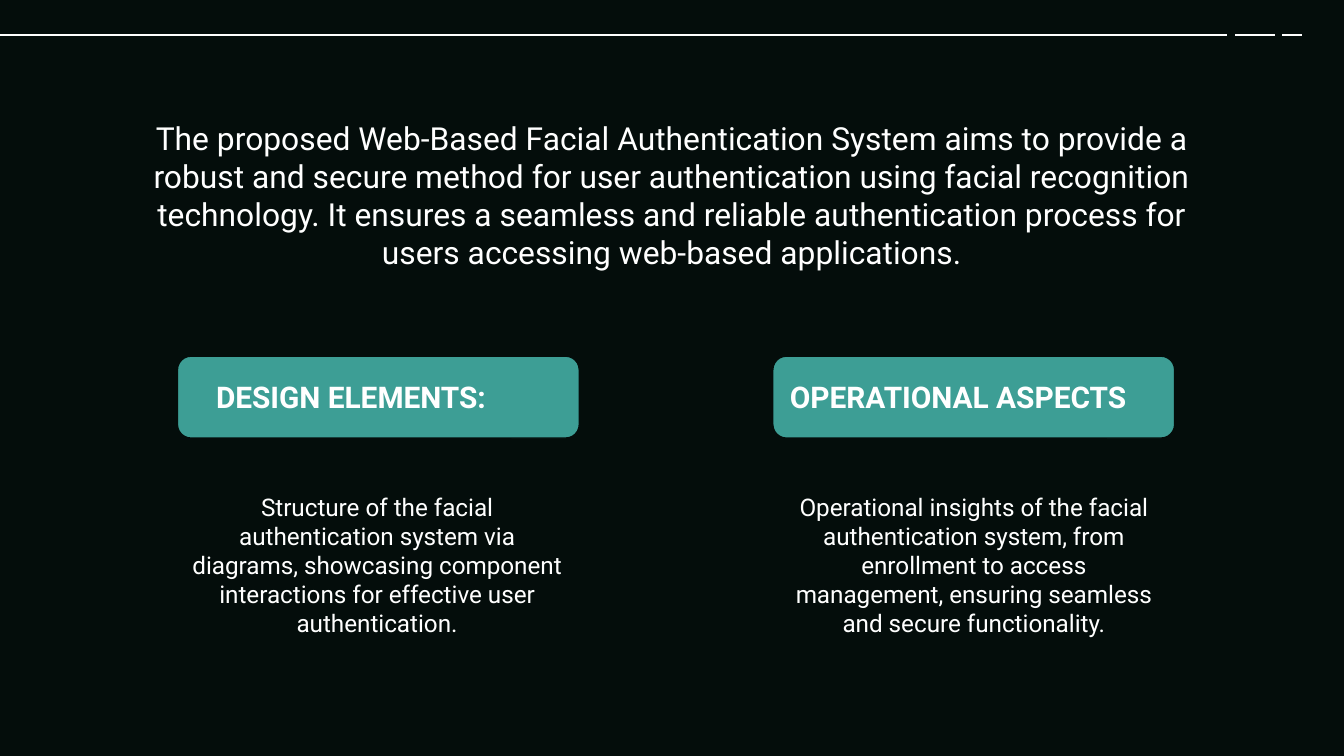
from dataclasses import dataclass

from lxml import etree
from pptx import Presentation
from pptx.dml.color import RGBColor
from pptx.enum.shapes import MSO_CONNECTOR, MSO_SHAPE
from pptx.enum.text import MSO_ANCHOR, MSO_AUTO_SIZE, PP_ALIGN
from pptx.oxml.ns import qn
from pptx.util import Inches, Pt

STRAIGHT = MSO_CONNECTOR.STRAIGHT
ROUNDED = MSO_SHAPE.ROUNDED_RECTANGLE
TOP = MSO_ANCHOR.TOP
NO_FIT = MSO_AUTO_SIZE.NONE
LEFT, CENTER = PP_ALIGN.LEFT, PP_ALIGN.CENTER


@dataclass(frozen=True)
class Theme:
    background: RGBColor = RGBColor(0x04, 0x0D, 0x0B)
    text: RGBColor = RGBColor(0xFF, 0xFF, 0xFF)
    accent: RGBColor = RGBColor(0x3D, 0x9E, 0x95)
    font: str = "Roboto"
    intro: int = 17
    heading: int = 16
    body: int = 13
    line: float = 0.75


THEME = Theme()
WIDTH = 10
HEIGHT = WIDTH * 9 / 16
COLUMN_WIDTH = 2.99
BANNER_TOP, BANNER_HEIGHT = 2.65, 0.61
HEADING_TOP, HEADING_WIDTH = 2.72, 2.94
BODY_TOP, BODY_HEIGHT = 3.56, 1.59
RULE_TOP = 0.26
MARGIN = 0.78


def place(box, left, top, width, height):
    box.left, box.top = Inches(left), Inches(top)
    box.width, box.height = Inches(width), Inches(height)


def write(box, text, size, align, bold=False):
    frame = box.text_frame
    frame.text = text
    frame.word_wrap = True
    frame.auto_size = NO_FIT
    frame.vertical_anchor = TOP
    frame.margin_left = frame.margin_right = Inches(0.1)
    frame.margin_top = frame.margin_bottom = Inches(0.1)
    para = frame.paragraphs[0]
    para.alignment = align
    para.space_before = Pt(0)
    properties = para._p.get_or_add_pPr()
    properties.set("marL", "0")
    properties.set("indent", "0")
    etree.SubElement(properties, qn("a:buNone"))
    para.font.name = THEME.font
    para.font.size = Pt(size)
    para.font.bold = bold
    para.font.color.rgb = THEME.text


deck = Presentation()
deck.slide_width, deck.slide_height = Inches(WIDTH), Inches(HEIGHT)
page = deck.slides.add_slide(deck.slide_layouts.get_by_name("Two Content"))
page.background.fill.solid()
page.background.fill.fore_color.rgb = THEME.background

for start, end in ((0, 9.13), (9.19, 9.49), (9.54, 9.69)):
    rule = page.shapes.add_connector(
        STRAIGHT, Inches(start), Inches(RULE_TOP), Inches(end), Inches(RULE_TOP)
    )
    rule.line.color.rgb = THEME.text
    rule.line.width = Pt(THEME.line)
    etree.SubElement(rule._element.spPr, qn("a:effectLst"))

intro = page.shapes.title
place(intro, MARGIN, MARGIN, WIDTH - 2 * MARGIN, 1.28)
write(
    intro,
    "The proposed Web-Based Facial Authentication System aims to provide a robust "
    "and secure method for user authentication using facial recognition technology. "
    "It ensures a seamless and reliable authentication process for users accessing "
    "web-based applications.",
    THEME.intro,
    CENTER,
)

topics = (
    (
        1.32, 1.51, 1.31,
        "DESIGN ELEMENTS:",
        "Structure of the facial authentication system via diagrams, showcasing "
        "component interactions for effective user authentication.",
    ),
    (
        5.75, 5.78, 5.75,
        "OPERATIONAL ASPECTS",
        "Operational insights of the facial authentication system, from enrollment "
        "to access management, ensuring seamless and secure functionality.",
    ),
)

for number, topic in enumerate(topics, 1):
    banner_left, heading_left, body_left, title, description = topic
    banner = page.shapes.add_shape(
        ROUNDED, Inches(banner_left), Inches(BANNER_TOP), Inches(COLUMN_WIDTH), Inches(BANNER_HEIGHT)
    )
    banner.shadow.inherit = False
    banner.fill.solid()
    banner.fill.fore_color.rgb = THEME.accent
    banner.line.color.rgb = THEME.background
    banner.line.width = Pt(THEME.line)

    heading = page.shapes.add_textbox(
        Inches(heading_left), Inches(HEADING_TOP), Inches(HEADING_WIDTH), Inches(BANNER_HEIGHT)
    )
    write(heading, title, THEME.heading, LEFT, bold=True)

    body = page.placeholders[number]
    place(body, body_left, BODY_TOP, COLUMN_WIDTH, BODY_HEIGHT)
    write(body, description, THEME.body, CENTER)

deck.save("out.pptx")
